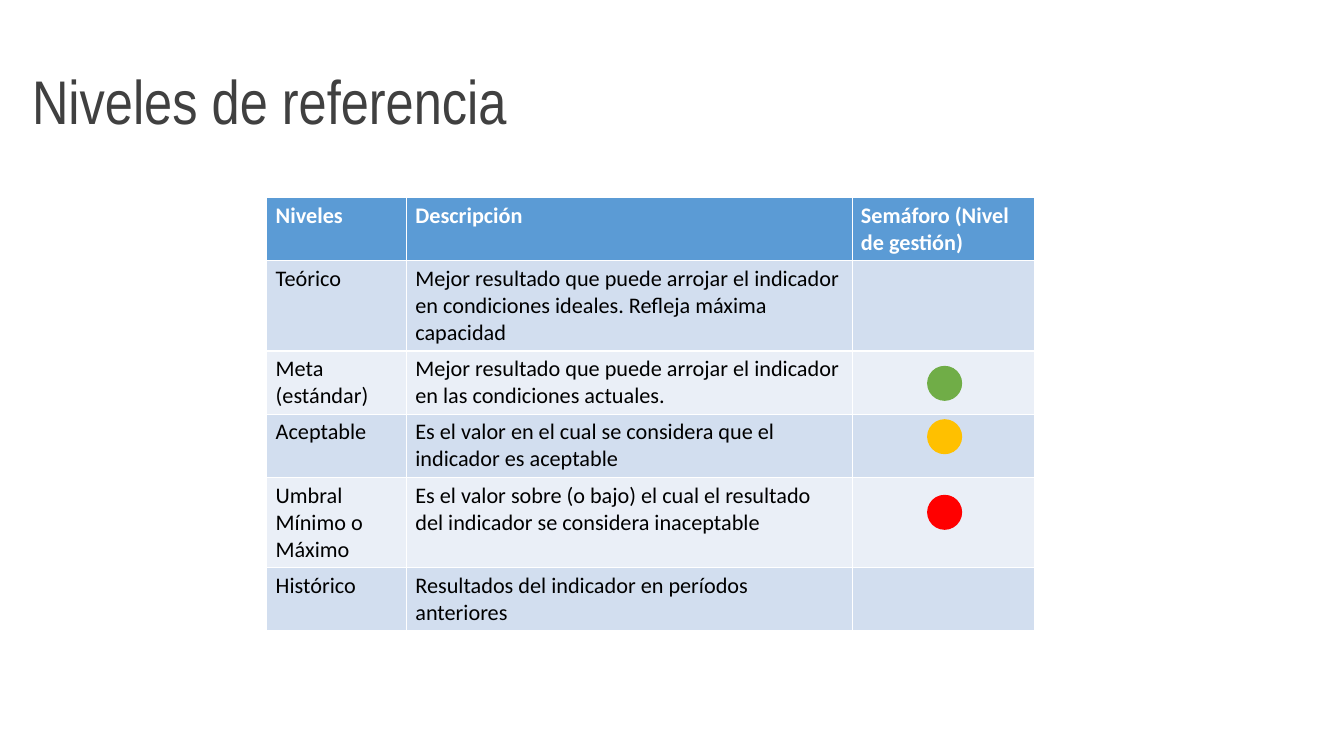
from pptx import Presentation
from pptx.dml.color import RGBColor
from pptx.enum.shapes import MSO_SHAPE
from pptx.enum.text import MSO_ANCHOR, PP_ALIGN
from pptx.util import Inches, Pt

WHITE = RGBColor(255, 255, 255)
BLACK = RGBColor(0, 0, 0)
GRAY = RGBColor(64, 64, 64)
BLUE = RGBColor(91, 155, 213)
PALE = RGBColor(234, 239, 247)
LIGHT = RGBColor(210, 222, 239)
GREEN = RGBColor(112, 173, 71)
AMBER = RGBColor(255, 192, 0)
RED = RGBColor(255, 0, 0)

LEVELS = [
    ("Niveles", "Descripción", "Semáforo (Nivel de gestión)"),
    ("Teórico", "Mejor resultado que puede arrojar el indicador en condiciones "
     "ideales. Refleja máxima capacidad", ""),
    ("Meta (estándar)", "Mejor resultado que puede arrojar el indicador en las "
     "condiciones actuales.", ""),
    ("Aceptable", "Es el valor en el cual se considera que el indicador es "
     "aceptable", ""),
    ("Umbral Mínimo o Máximo", "Es el valor sobre (o bajo) el cual el resultado "
     "del indicador se considera inaceptable", ""),
    ("Histórico", "Resultados del indicador en períodos anteriores", ""),
]
WIDTHS = [1.57, 5.01, 2.05]
LIGHTS = [(4.12, GREEN), (4.72, AMBER), (5.57, RED)]


class Page:
    head = "Arial Narrow"
    body = "Calibri"

    def __init__(self, deck):
        self.slide = deck.slides.add_slide(deck.slide_layouts[5])

    def style(self, para, name, size, color, bold=False):
        font = para.font
        font.name, font.size, font.bold = name, Pt(size), bold
        font.color.rgb = color

    def title(self, text, x, y, w, h):
        box = self.slide.shapes.title
        box.left, box.top, box.width, box.height = map(Inches, (x, y, w, h))
        box.text_frame.text = text
        box.text_frame.vertical_anchor = MSO_ANCHOR.MIDDLE
        para = box.text_frame.paragraphs[0]
        para.alignment = PP_ALIGN.LEFT
        para.line_spacing = 0.9
        self.style(para, self.head, 49.9, GRAY)

    def table(self, rows, widths, x, y, h, tall):
        frame = self.slide.shapes.add_table(
            len(rows), len(widths), Inches(x), Inches(y),
            Inches(sum(widths)), Inches(h))
        grid = frame.table
        for col, width in zip(grid.columns, widths):
            col.width = Inches(width)
        for i, row in enumerate(rows):
            grid.rows[i].height = Inches(tall)
            fill = BLUE if i == 0 else (PALE, LIGHT)[i % 2]
            color = BLACK if i else WHITE
            for j, text in enumerate(row):
                cell = grid.cell(i, j)
                cell.text = text
                cell.fill.solid()
                cell.fill.fore_color.rgb = fill
                self.style(cell.text_frame.paragraphs[0], self.body, 18,
                           color, i == 0)
        frame.height = Inches(h)

    def dot(self, x, y, size, color):
        shape = self.slide.shapes.add_shape(
            MSO_SHAPE.OVAL, Inches(x), Inches(y), Inches(size), Inches(size))
        shape.shadow.inherit = False
        shape.fill.solid()
        shape.fill.fore_color.rgb = color
        shape.line.color.rgb = color
        shape.line.width = Pt(1)


def main():
    deck = Presentation()
    deck.slide_width, deck.slide_height = Inches(15.11), Inches(8.5)
    page = Page(deck)
    page.title("Niveles de referencia", 0.26, 0.36, 14, 1.64)
    page.table(LEVELS, WIDTHS, 3, 2.22, 4.8, 0.41)
    for y, color in LIGHTS:
        page.dot(10.43, y, 0.38, color)
    deck.save("out.pptx")


if __name__ == "__main__":
    main()
